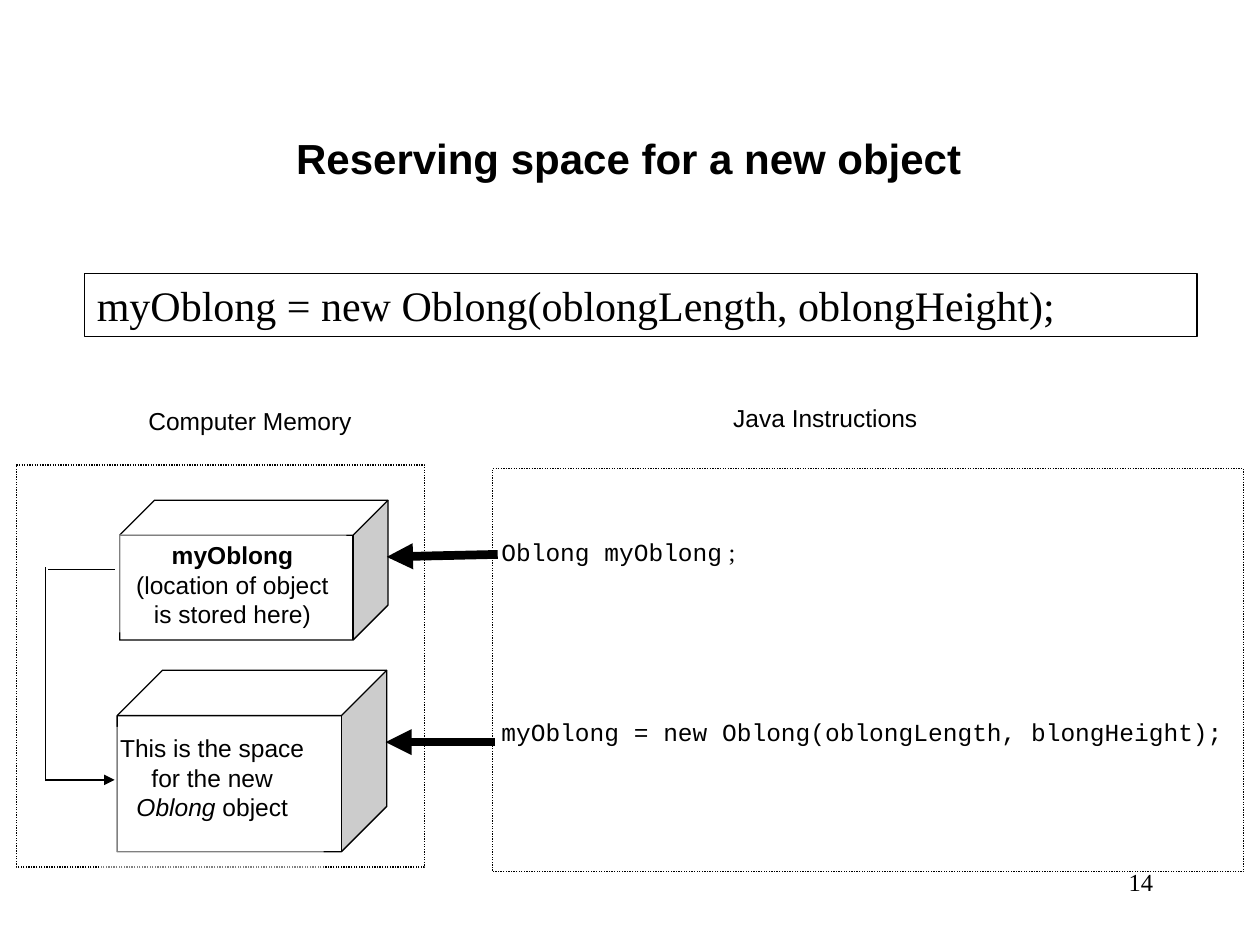
from dataclasses import dataclass
from typing import Any

from lxml import etree
from pptx import Presentation
from pptx.dml.color import RGBColor
from pptx.enum.dml import MSO_LINE
from pptx.enum.shapes import MSO_CONNECTOR, MSO_SHAPE
from pptx.enum.text import MSO_ANCHOR, PP_ALIGN
from pptx.oxml.ns import qn
from pptx.util import Inches, Pt

BLACK = RGBColor(0, 0, 0)
WHITE = RGBColor(255, 255, 255)
RECTANGLE, CUBE = MSO_SHAPE.RECTANGLE, MSO_SHAPE.CUBE
STRAIGHT = MSO_CONNECTOR.STRAIGHT
DOTTED = MSO_LINE.ROUND_DOT
LEFT, CENTER, RIGHT = PP_ALIGN.LEFT, PP_ALIGN.CENTER, PP_ALIGN.RIGHT
TOP = MSO_ANCHOR.TOP

BOLD = {"bold": True}
ITALIC = {"italic": True}
SERIF = {"name": "Times New Roman"}
CODE = {"name": "Courier New"}


@dataclass
class SlideBuilder:
    slide: Any
    font: str = "Arial"
    size: float = 14
    thin: float = 0.75
    thick: float = 5

    def fill_text(self, shape, paragraphs, align=LEFT, indent=0.1, gap=0, **formats):
        """Fill a shape with paragraphs, each a list of (text, font formats)."""
        frame = shape.text_frame
        frame.word_wrap = True
        frame.vertical_anchor = TOP
        frame.margin_left, frame.margin_right = Inches(indent), Inches(0.1)
        frame.margin_top = frame.margin_bottom = Inches(0.05)
        for index, spans in enumerate(paragraphs):
            para = frame.add_paragraph() if index else frame.paragraphs[0]
            para.alignment = align
            para.space_before = Pt(gap if index else 0)
            for text, extra in spans:
                span = para.add_run()
                span.text = text
                style = {"name": self.font, "size": Pt(self.size), **formats, **extra}
                for name, value in style.items():
                    setattr(span.font, name, value)
                span.font.color.rgb = BLACK

    def title(self, area, text):
        title = self.slide.shapes.title
        names = ("left", "top", "width", "height")
        for name, value in zip(names, area):
            setattr(title, name, Inches(value))
        self.fill_text(title, [[(text, BOLD)]], size=Pt(24))

    def text(self, area, paragraphs, **options):
        box = self.slide.shapes.add_textbox(*map(Inches, area))
        self.fill_text(box, paragraphs, **options)

    def shape(self, area, kind=RECTANGLE, filled=True, outlined=True, dash=None, opacity=100):
        shape = self.slide.shapes.add_shape(kind, *map(Inches, area))
        shape.shadow.inherit = False
        if filled:
            shape.fill.solid()
            shape.fill.fore_color.rgb = WHITE
            if opacity < 100:
                color = shape._element.spPr.find(qn("a:solidFill"))[0]
                etree.SubElement(color, qn("a:alpha"), val=str(opacity * 1000))
        else:
            shape.fill.background()
        if outlined:
            shape.line.color.rgb = BLACK
            shape.line.width = Pt(self.thin)
            if dash:
                shape.line.dash_style = dash
        else:
            shape.line.fill.background()
        return shape

    def label(self, area, paragraphs, opacity=100, **options):
        box = self.shape(area, outlined=False, opacity=opacity)
        self.fill_text(box, paragraphs, **options)

    def line(self, start, end, width=None, arrow=False):
        ends = map(Inches, (*start, *end))
        line = self.slide.shapes.add_connector(STRAIGHT, *ends)
        line.line.color.rgb = BLACK
        line.line.width = Pt(width or self.thin)
        properties = line._element.spPr
        if arrow:
            outline = properties.find(qn("a:ln"))
            etree.SubElement(outline, qn("a:tailEnd"), type="triangle")
        etree.SubElement(properties, qn("a:effectLst"))


def main():
    deck = Presentation()
    deck.slide_width, deck.slide_height = Inches(10), Inches(7.5)
    build = SlideBuilder(deck.slides.add_slide(deck.slide_layouts[5]))

    build.title((2.25, 1, 5.83, 0.5), "Reserving space for a new object")
    build.text((7.17, 6.83, 2.08, 0.5), [[("14", SERIF)]], align=RIGHT)
    statement = build.shape((0.67, 2.17, 8.83, 0.5), filled=False)
    build.fill_text(
        statement,
        [[("myOblong = new Oblong(oblongLength, oblongHeight);", SERIF)]],
        size=Pt(24),
    )

    # Two panels with their headings
    build.shape((0.13, 3.69, 3.24, 3.19), dash=DOTTED)
    build.label(
        (3.53, 4.21, 6.33, 2.38),
        [
            [("Oblong myOblong", CODE), (" ;", SERIF)],
            [("myOblong = new Oblong(oblongLength, blongHeight);", CODE)],
        ],
        indent=0.45,
        gap=86,
    )
    build.label((0.2, 3.17, 3.57, 0.42), [[("Computer Memory", {})]], align=CENTER)
    build.label((5.72, 3.15, 3.02, 0.49), [[("Java Instructions", {})]])
    build.shape((3.91, 3.72, 5.96, 3.2), filled=False, dash=DOTTED)

    # Memory cells, each a cube under a translucent label
    reference = [[("myOblong", BOLD)], [("(location of object is stored here)", {})]]
    space = [[("This is the space for the new ", {}), ("Oblong", ITALIC), (" object", {})]]
    cells = [
        ((0.95, 3.97, 2.13, 1.11), (0.94, 4.24, 1.81, 0.78), reference),
        ((0.93, 5.32, 2.14, 1.44), (0.8, 5.77, 1.77, 1.24), space),
    ]
    for cube_area, label_area, paragraphs in cells:
        build.shape(cube_area, CUBE)
        build.label(label_area, paragraphs, opacity=50, align=CENTER)

    # Instructions act on the cells
    for start, end in [((3.95, 4.4), (3.07, 4.42)), ((3.93, 5.89), (3.06, 5.89))]:
        build.line(start, end, build.thick, arrow=True)

    # The reference points to the reserved space
    build.line((0.91, 4.52), (0.38, 4.52))
    build.line((0.36, 6.2), (0.36, 4.5))
    build.line((0.36, 6.19), (0.91, 6.19), arrow=True)

    deck.save("out.pptx")


if __name__ == "__main__":
    main()
